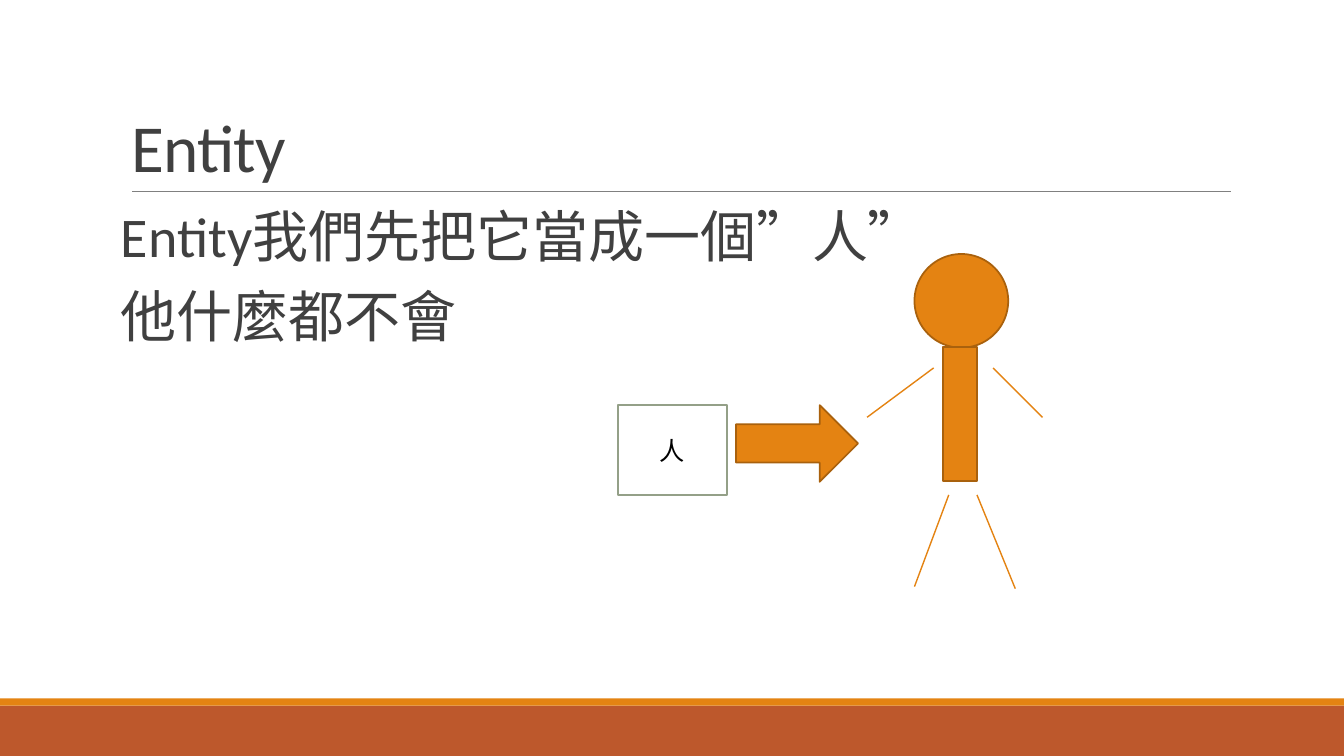
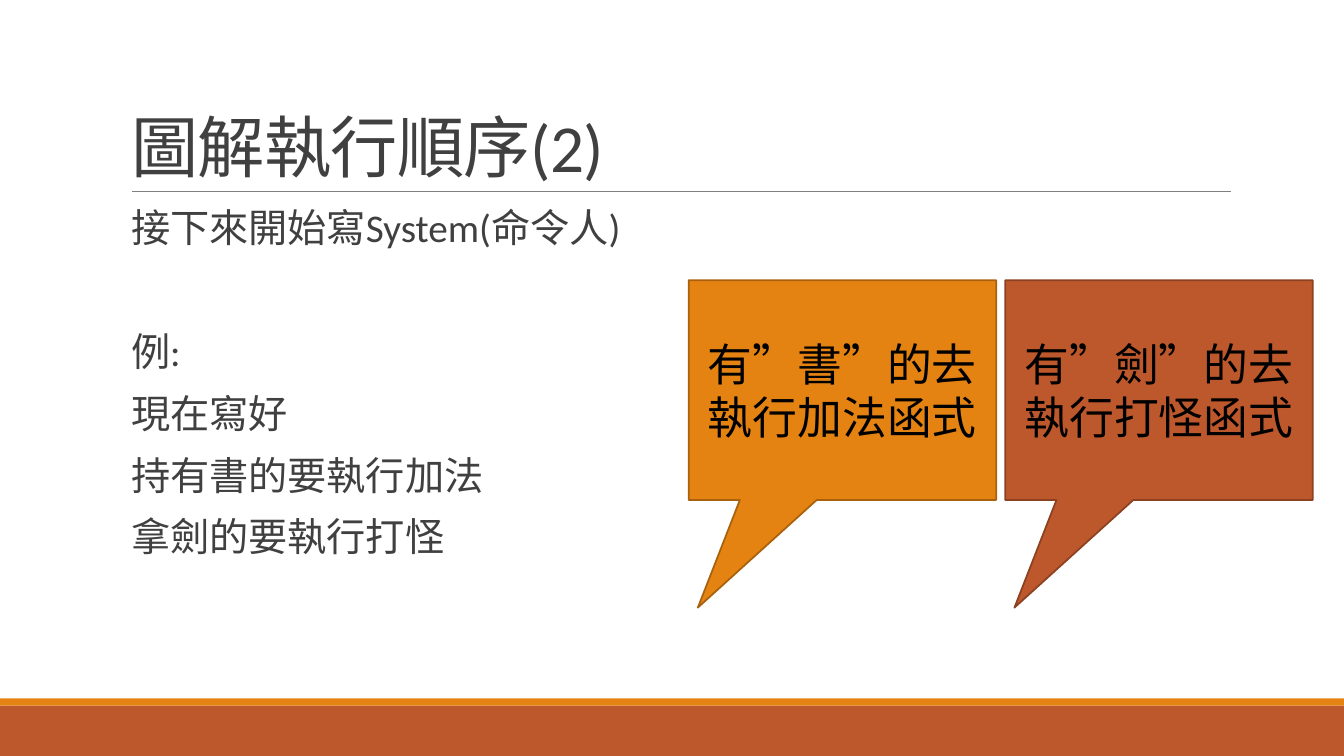
"""Build two slides that explain entities and systems with a stick figure and two callouts."""
from lxml import etree
from pptx import Presentation
from pptx.dml.color import RGBColor
from pptx.enum.shapes import MSO_CONNECTOR as Connector, MSO_SHAPE as Shape
from pptx.enum.text import MSO_ANCHOR as Anchor, MSO_AUTO_SIZE as AutoSize, PP_ALIGN as Align
from pptx.oxml.ns import qn
from pptx.util import Inches, Pt

COLORS = {
    "orange": "E48312", "orange_edge": "A9610D",
    "rust": "BD582C", "rust_edge": "8C4121",
    "sage": "94A088", "rule": "808080",
    "text": "404040", "black": "000000", "white": "FFFFFF",
}
FONT = "Calibri"


def add_block(slide, kind, box, fill, edge=None, text="", size=18):
    """Add a filled preset shape with optional centred text."""
    shape = slide.shapes.add_shape(kind, *map(Inches, box))
    shape.shadow.inherit = False
    shape.fill.solid()
    shape.fill.fore_color.rgb = RGBColor.from_string(COLORS[fill])
    if edge:
        shape.line.color.rgb = RGBColor.from_string(COLORS[edge])
        shape.line.width = Pt(1.25)
    else:
        shape.line.fill.background()
    if text:
        frame = shape.text_frame
        frame.text = text
        frame.vertical_anchor = Anchor.MIDDLE
        for paragraph in frame.paragraphs:
            paragraph.alignment = Align.CENTER
            paragraph.font.name = FONT
            paragraph.font.size = Pt(size)
            paragraph.font.color.rgb = RGBColor.from_string(COLORS["black"])
    return shape


def add_line(slide, points, color, width):
    """Add a straight line without a shadow."""
    line = slide.shapes.add_connector(Connector.STRAIGHT, *map(Inches, points))
    line.line.color.rgb = RGBColor.from_string(COLORS[color])
    line.line.width = Pt(width)
    etree.SubElement(line.element.spPr, qn("a:effectLst"))
    return line


presentation = Presentation()
presentation.slide_width = Inches(13.33)
presentation.slide_height = Inches(7.5)
layout = presentation.slide_layouts[1]

PLACEHOLDER_BOXES = [(1.2, 0.31, 11, 1.59), (1.2, 2.02, 11, 4.4)]
for index, box in enumerate(PLACEHOLDER_BOXES):
    placeholder = layout.placeholders[index]
    for name, value in zip(("left", "top", "width", "height"), box):
        setattr(placeholder, name, Inches(value))

FRAME_FORMATS = [
    {"vertical_anchor": Anchor.BOTTOM, "auto_size": AutoSize.NONE, "word_wrap": True},
    {"vertical_anchor": Anchor.TOP, "auto_size": AutoSize.NONE, "word_wrap": True,
     "margin_left": 0, "margin_right": 0},
]
PARAGRAPH_FORMATS = [
    {"alignment": Align.LEFT, "line_spacing": 0.85},
    {"alignment": Align.LEFT, "line_spacing": 0.9, "space_before": Pt(12), "space_after": Pt(2)},
]
CONTENT = [
    ("Entity", ["Entity我們先把它當成一個”人”", "他什麼都不會"], 40, 0),
    ("圖解執行順序(2)",
     ["接下來開始寫System(命令人)", "例:", "現在寫好", "持有書的要執行加法", "拿劍的要執行打怪"],
     28, 0.1),
]

slides = []
for title, lines, body_size, indent in CONTENT:
    slide = presentation.slides.add_slide(layout)
    slides.append(slide)
    for index, (text, size) in enumerate([(title, 48), ("\n".join(lines), body_size)]):
        frame = slide.placeholders[index].text_frame
        frame.text = text
        for name, value in FRAME_FORMATS[index].items():
            setattr(frame, name, value)
        for paragraph in frame.paragraphs:
            for name, value in PARAGRAPH_FORMATS[index].items():
                setattr(paragraph, name, value)
            for run in paragraph.runs:
                run.font.name = FONT
                run.font.size = Pt(size)
                run.font.color.rgb = RGBColor.from_string(COLORS["text"])
    slide.shapes.title.text_frame.paragraphs[0].runs[0].font._element.set("spc", "-50")
    for paragraph in slide.placeholders[1].text_frame.paragraphs:
        properties = paragraph._p.get_or_add_pPr()
        properties.set("marL", str(Inches(indent)))
        properties.set("indent", "0")
        etree.SubElement(properties, qn("a:buNone"))

entity_slide, system_slide = slides
system_slide.placeholders[1].text_frame.paragraphs[1].space_before = Pt(56)

master_parts = [
    add_block(entity_slide, Shape.RECTANGLE, (0, 7, 13.33, 0.5), "rust"),
    add_block(entity_slide, Shape.RECTANGLE, (0, 6.93, 13.33, 0.07), "orange"),
    add_line(entity_slide, (1.31, 1.9, 12.21, 1.9), "rule", 0.5),
]
master_tree = presentation.slide_master.element.cSld.spTree
for number, part in enumerate(master_parts, start=101):
    part.element.xpath(".//p:cNvPr")[0].set("id", str(number))
    master_tree.append(part.element)

FIGURE = [
    (Shape.OVAL, (9.07, 2.52, 0.93, 0.93)),
    (Shape.RECTANGLE, (9.35, 3.44, 0.34, 1.33)),
    (Shape.RIGHT_ARROW, (7.3, 4.02, 1.21, 0.76)),
]
for kind, box in FIGURE:
    add_block(entity_slide, kind, box, "orange", "orange_edge")
LIMBS = [
    (9.26, 3.65, 8.6, 4.14), (9.85, 3.65, 10.34, 4.14),
    (9.41, 4.91, 9.07, 5.82), (9.69, 4.91, 10.07, 5.84),
]
for points in LIMBS:
    add_line(entity_slide, points, "orange", 1)
add_block(entity_slide, Shape.RECTANGLE, (6.13, 4.02, 1.08, 0.89), "white", "sage", "人")

CALLOUTS = [("orange", "有”書”的去\n執行加法函式"), ("rust", "有”劍”的去\n執行打怪函式")]
for index, (color, text) in enumerate(CALLOUTS):
    box = (6.83 + 3.14 * index, 2.78, 3.05, 2.18)
    callout = add_block(system_slide, Shape.RECTANGULAR_CALLOUT, box, color, f"{color}_edge", text, 32)
    callout.adjustments[0] = -0.47
    callout.adjustments[1] = 0.99

presentation.save("out.pptx")
